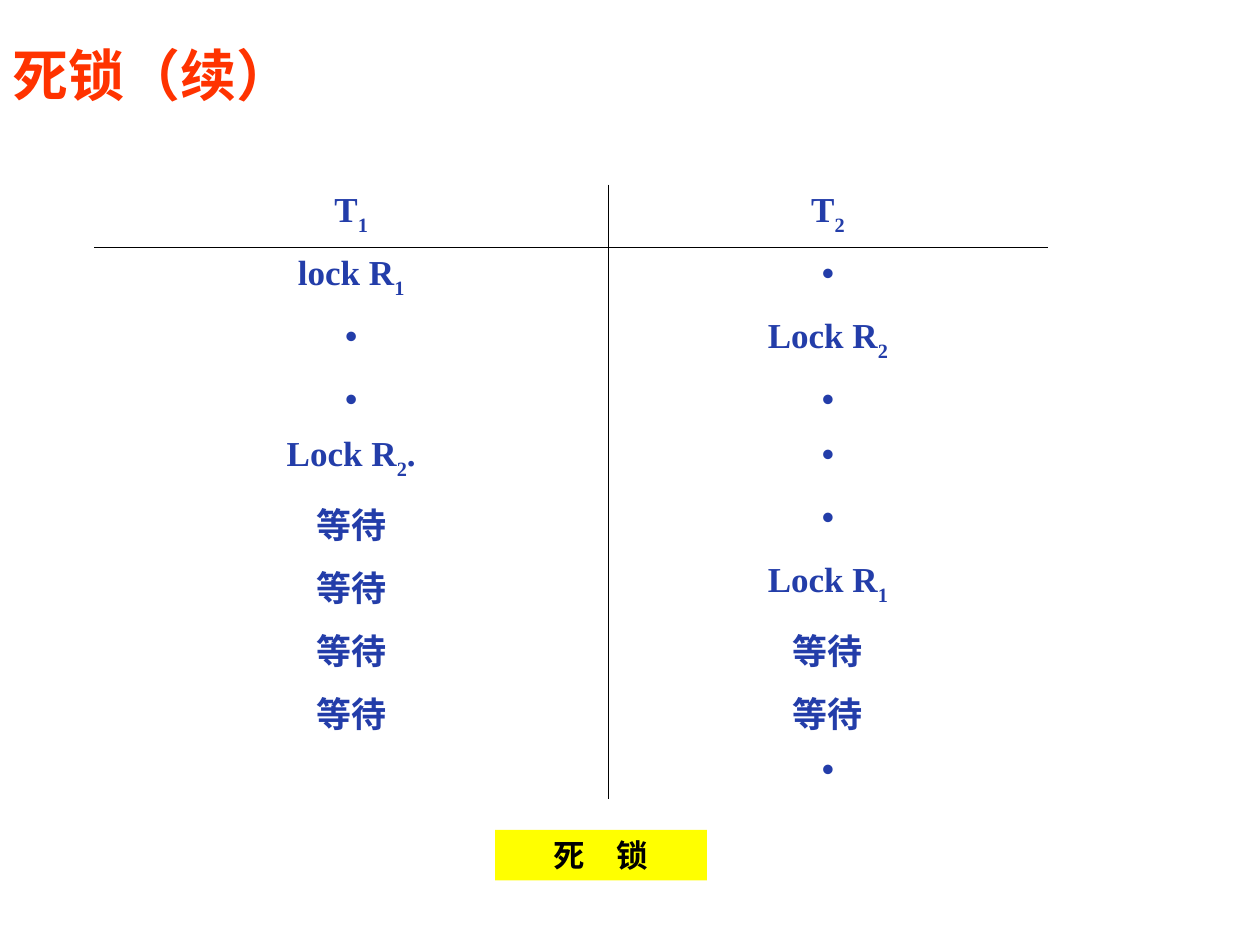
from dataclasses import dataclass
from typing import NamedTuple

from lxml import etree
from pptx import Presentation
from pptx import util as u
from pptx.dml.color import RGBColor
from pptx.enum import shapes, text
from pptx.oxml import ns


@dataclass(frozen=True)
class Theme:
    red: str = "FF3300"
    blue: str = "233DA9"
    black: str = "000000"
    yellow: str = "FFFF00"
    head: float = 32
    body: float = 20
    note: float = 18
    rule: float = 0.45
    latin: str = "Times New Roman"
    asian: str = "Noto Sans CJK SC"


class Step(NamedTuple):
    left: str
    right: str
    high: float = 1.27


THEME = Theme()
WAIT = "等待"
DOT = "•"
STEPS = [
    Step("T_1", "T_2"),
    Step("lock R_1", DOT),
    Step(DOT, "Lock R_2"),
    Step(DOT, DOT, 1.11),
    Step("Lock R_2.", DOT),
    Step(WAIT, DOT),
    Step(WAIT, "Lock R_1"),
    Step(WAIT, WAIT),
    Step(WAIT, WAIT),
    Step("", DOT, 1.11),
]
WIDTHS = (10.36, 8.86)


def style(para, size: float, color: str, latin: str = THEME.latin) -> None:
    font = para.font
    font.size = u.Pt(size)
    font.bold = True
    font.name = latin
    font.color.rgb = RGBColor.from_string(color)
    asian = etree.SubElement(font._element, ns.qn("a:ea"))
    asian.set("typeface", THEME.asian)


def write(para, words: str) -> None:
    base, _, tail = words.partition("_")
    for part, low in ((base, False), (tail[:1], True), (tail[1:], False)):
        if part:
            run = para.add_run()
            run.text = part
            if low:
                run._r.get_or_add_rPr().set("baseline", "-30000")


def edge(cell, lines: set[str]) -> None:
    props = cell._tc.get_or_add_tcPr()
    for side in "LRTB":
        line = etree.SubElement(props, ns.qn(f"a:ln{side}"))
        if side in lines:
            line.set("w", str(u.Pt(THEME.rule)))
            fill = etree.SubElement(line, ns.qn("a:solidFill"))
            etree.SubElement(fill, ns.qn("a:srgbClr")).set("val", THEME.black)
        else:
            etree.SubElement(line, ns.qn("a:noFill"))


def draw_title(slide) -> None:
    box = slide.shapes.add_textbox(u.Cm(0), u.Cm(0.71), u.Cm(20.52), u.Cm(1.57))
    frame = box.text_frame
    frame.word_wrap = True
    frame.vertical_anchor = text.MSO_ANCHOR.MIDDLE
    para = frame.paragraphs[0]
    style(para, THEME.head, THEME.red, THEME.asian)
    write(para, "死锁（续）")


def draw_steps(slide) -> None:
    tall = sum(step.high for step in STEPS)
    table = slide.shapes.add_table(
        len(STEPS), len(WIDTHS),
        u.Cm(1.9), u.Cm(3.72), u.Cm(sum(WIDTHS)), u.Cm(tall),
    ).table
    table.first_row = table.horz_banding = False
    for col, wide in zip(table.columns, WIDTHS):
        col.width = u.Cm(wide)
    for row, step in enumerate(STEPS):
        table.rows[row].height = u.Cm(step.high)
        for col, words in enumerate((step.left, step.right)):
            cell = table.cell(row, col)
            lines = {"RL"[col]}
            if row < 2:
                lines.add("BT"[row])
            edge(cell, lines)
            cell.fill.background()
            para = cell.text_frame.paragraphs[0]
            para.alignment = text.PP_ALIGN.CENTER
            style(para, THEME.body, THEME.blue)
            write(para, words)


def draw_label(slide) -> None:
    box = slide.shapes.add_shape(
        shapes.MSO_SHAPE.RECTANGLE, u.Cm(9.98), u.Cm(16.73), u.Cm(4.27), u.Cm(1.02)
    )
    box.shadow.inherit = False
    box.fill.solid()
    box.fill.fore_color.rgb = RGBColor.from_string(THEME.yellow)
    box.line.fill.background()
    frame = box.text_frame
    frame.word_wrap = False
    frame.vertical_anchor = text.MSO_ANCHOR.MIDDLE
    para = frame.paragraphs[0]
    para.alignment = text.PP_ALIGN.CENTER
    style(para, THEME.note, THEME.black)
    write(para, "死　锁")


def main() -> None:
    deck = Presentation()
    deck.slide_width, deck.slide_height = u.Cm(25.4), u.Cm(19.05)
    slide = deck.slides.add_slide(deck.slide_layouts[6])
    draw_title(slide)
    draw_steps(slide)
    draw_label(slide)
    deck.save("out.pptx")


if __name__ == "__main__":
    main()
